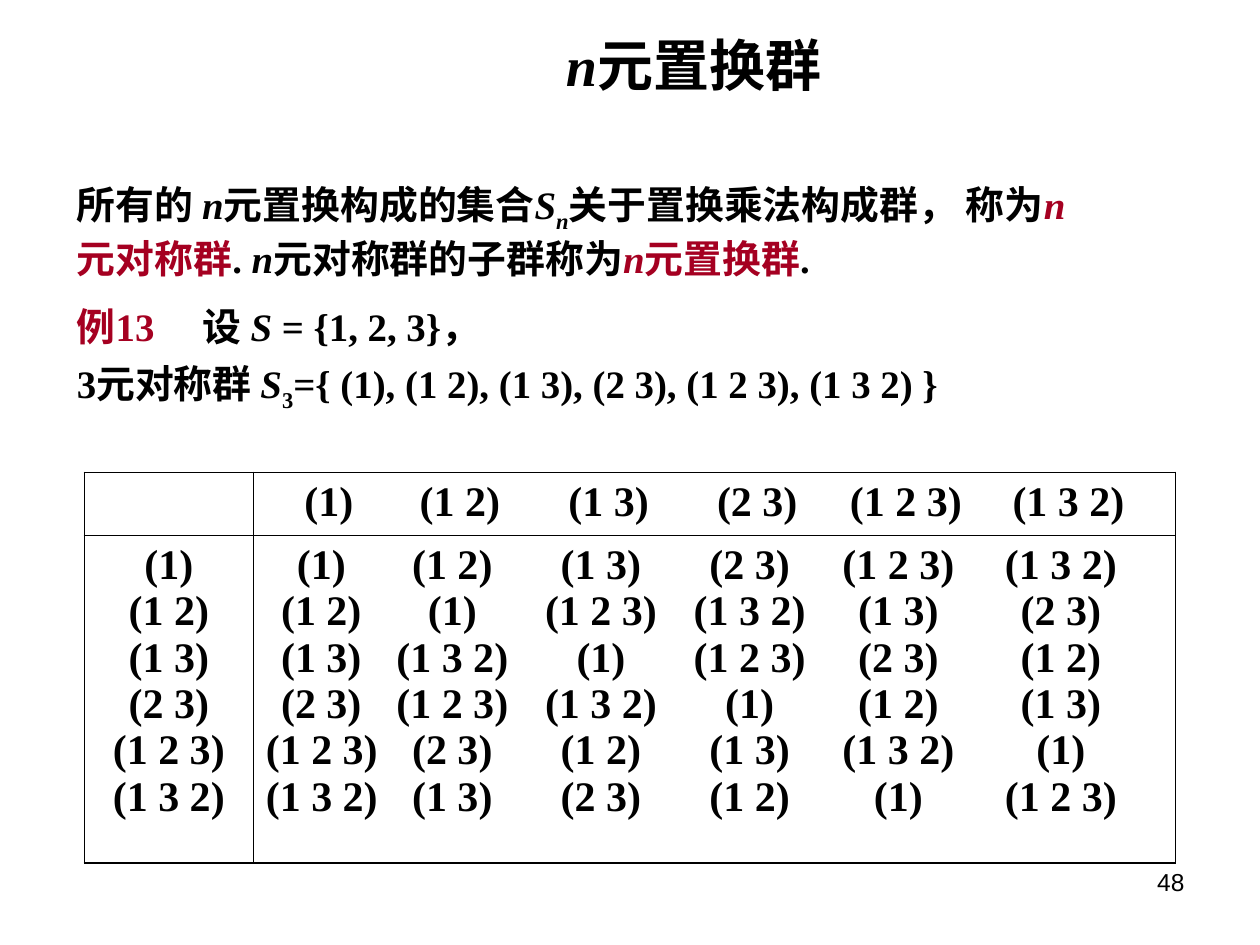
import dataclasses

import lxml.etree
import pptx
import pptx.dml.color
import pptx.enum.text
import pptx.oxml.ns
import pptx.util

Inches = pptx.util.Inches
ALIGN = pptx.enum.text.PP_ALIGN
ANCHOR = pptx.enum.text.MSO_ANCHOR


@dataclasses.dataclass(frozen=True)
class Theme:
    ink: str = "000000"
    accent: str = "A50021"
    serif: str = "Times New Roman"
    sans: str = "Arial"
    title_size: float = 32
    body_size: float = 22.2
    table_size: float = 24
    number_size: float = 14
    outer_line: float = 1.08
    inner_line: float = 0.45


THEME = Theme()

# Centres of the six product columns, from the cell's text edge
COLUMN_CENTRES = (0.44, 1.48, 2.66, 3.84, 5.02, 6.31)
HEADER_SHIFT = 0.06
ELEMENTS = ("(1)", "(1 2)", "(1 3)", "(2 3)", "(1 2 3)", "(1 3 2)")
PRODUCTS = (
    ELEMENTS,
    ("(1 2)", "(1)", "(1 2 3)", "(1 3 2)", "(1 3)", "(2 3)"),
    ("(1 3)", "(1 3 2)", "(1)", "(1 2 3)", "(2 3)", "(1 2)"),
    ("(2 3)", "(1 2 3)", "(1 3 2)", "(1)", "(1 2)", "(1 3)"),
    ("(1 2 3)", "(2 3)", "(1 2)", "(1 3)", "(1 3 2)", "(1)"),
    ("(1 3 2)", "(1 3)", "(2 3)", "(1 2)", "(1)", "(1 2 3)"),
)

# Run styles: i italic, s subscript, a accent colour
BODY = (
    (0, (("所有的 ", ""), ("n", "i"), ("元置换构成的集合", ""), ("S", "i"),
         ("n", "is"), ("关于置换乘法构成群， 称为", ""), ("n", "ia"))),
    (6, (("元对称群", "a"), (". ", ""), ("n", "i"), ("元对称群的子群称为", ""),
         ("n", "ia"), ("元置换群", "a"), (".", ""))),
    (15, (("例13\t", "a"), ("设 ", ""), ("S ", "i"), ("= {1, 2, 3}，", ""))),
    (6, (("3元对称群 ", ""), ("S", "i"), ("3", "s"),
         ("={ (1), (1 2), (1 3), (2 3), (1 2 3), (1 3 2) }", ""))),
)


def apply_format(target, values):
    for name, value in values.items():
        setattr(target, name, value)


def add_child(parent, tag, **attributes):
    return lxml.etree.SubElement(parent, pptx.oxml.ns.qn(tag), attributes)


def add_run(paragraph, text, size, font=THEME.serif, style="", bold=True):
    run = paragraph.add_run()
    run.text = text
    apply_format(run.font, {"name": font, "size": pptx.util.Pt(size),
                            "bold": bold, "italic": "i" in style})
    color = THEME.accent if "a" in style else THEME.ink
    run.font.color.rgb = pptx.dml.color.RGBColor.from_string(color)
    if "s" in style:
        run.font._element.set("baseline", "-25000")


def add_tabs(paragraph, positions, alignment):
    tabs = add_child(paragraph._p.get_or_add_pPr(), "a:tabLst")
    for position in positions:
        add_child(tabs, "a:tab", pos=str(Inches(position)), algn=alignment)


def place(shape, box):
    apply_format(shape, dict(zip(("left", "top", "width", "height"), map(Inches, box))))


def prepare_frame(frame, anchor):
    apply_format(frame, {
        "word_wrap": True, "auto_size": pptx.enum.text.MSO_AUTO_SIZE.NONE,
        "vertical_anchor": anchor,
        "margin_left": Inches(0.1), "margin_right": Inches(0.1),
        "margin_top": Inches(0.05), "margin_bottom": Inches(0.05)})


def paragraph_at(frame, index):
    return frame.paragraphs[0] if index == 0 else frame.add_paragraph()


def fill_title(shape, box):
    place(shape, box)
    prepare_frame(shape.text_frame, ANCHOR.MIDDLE)
    paragraph = shape.text_frame.paragraphs[0]
    paragraph.alignment = ALIGN.CENTER
    add_run(paragraph, "n", THEME.title_size, style="i")
    add_run(paragraph, "元置换群", THEME.title_size, THEME.sans)


def fill_body(shape, box):
    place(shape, box)
    prepare_frame(shape.text_frame, ANCHOR.TOP)
    for index, (space_before, runs) in enumerate(BODY):
        paragraph = paragraph_at(shape.text_frame, index)
        properties = paragraph._p.get_or_add_pPr()
        apply_format(paragraph, {"alignment": ALIGN.LEFT, "line_spacing": 0.9,
                                 "space_before": pptx.util.Pt(space_before)})
        properties.set("marL", "0")
        properties.set("indent", "0")
        add_child(properties, "a:buNone")
        add_tabs(paragraph, (1,), "l")
        for text, style in runs:
            add_run(paragraph, text, THEME.body_size, style=style)


def set_borders(cell, row, column):
    # Edges on the outside of the 2 by 2 grid are heavier
    outer = {"a:lnL": column == 0, "a:lnR": column == 1,
             "a:lnT": row == 0, "a:lnB": row == 1}
    properties = cell._tc.get_or_add_tcPr()
    for tag, is_outer in outer.items():
        width = THEME.outer_line if is_outer else THEME.inner_line
        line = add_child(properties, tag, w=str(pptx.util.Pt(width)))
        add_child(add_child(line, "a:solidFill"), "a:srgbClr", val=THEME.ink)


def fill_products(cell, rows, shift=0):
    for index, row in enumerate(rows):
        paragraph = paragraph_at(cell.text_frame, index)
        add_tabs(paragraph, [centre + shift for centre in COLUMN_CENTRES], "ctr")
        add_run(paragraph, "".join("\t" + product for product in row), THEME.table_size)


def add_product_table(slide, box):
    table = slide.shapes.add_table(2, 2, *map(Inches, box)).table
    apply_format(table, {"first_row": False, "horz_banding": False})
    for column, width in zip(table.columns, (1.34, box[2] - 1.34)):
        column.width = Inches(width)
    for row, height in zip(table.rows, (0.5, box[3] - 0.5)):
        row.height = Inches(height)
    for row in range(2):
        for column in range(2):
            cell = table.cell(row, column)
            set_borders(cell, row, column)
            cell.fill.background()

    # Header row, row labels and products
    fill_products(table.cell(0, 1), [ELEMENTS], HEADER_SHIFT)
    for index, element in enumerate(ELEMENTS):
        paragraph = paragraph_at(table.cell(1, 0).text_frame, index)
        paragraph.alignment = ALIGN.CENTER
        add_run(paragraph, element, THEME.table_size)
    fill_products(table.cell(1, 1), PRODUCTS)


def add_page_number(slide, box):
    frame = slide.shapes.add_textbox(*map(Inches, box)).text_frame
    prepare_frame(frame, ANCHOR.TOP)
    frame.paragraphs[0].alignment = ALIGN.RIGHT
    add_run(frame.paragraphs[0], "48", THEME.number_size, THEME.sans, bold=False)


def main():
    presentation = pptx.Presentation()
    apply_format(presentation, {"slide_width": Inches(10), "slide_height": Inches(7.5)})
    slide = presentation.slides.add_slide(presentation.slide_layouts[1])
    fill_title(slide.shapes.title, (2.16, 0.28, 6.69, 0.46))
    fill_body(slide.placeholders[1], (0.51, 1.39, 8.91, 2.21))
    add_product_table(slide, (0.67, 3.75, 8.66, 3.1))
    add_page_number(slide, (7.17, 6.83, 2.33, 0.52))
    presentation.save("out.pptx")


if __name__ == "__main__":
    main()
